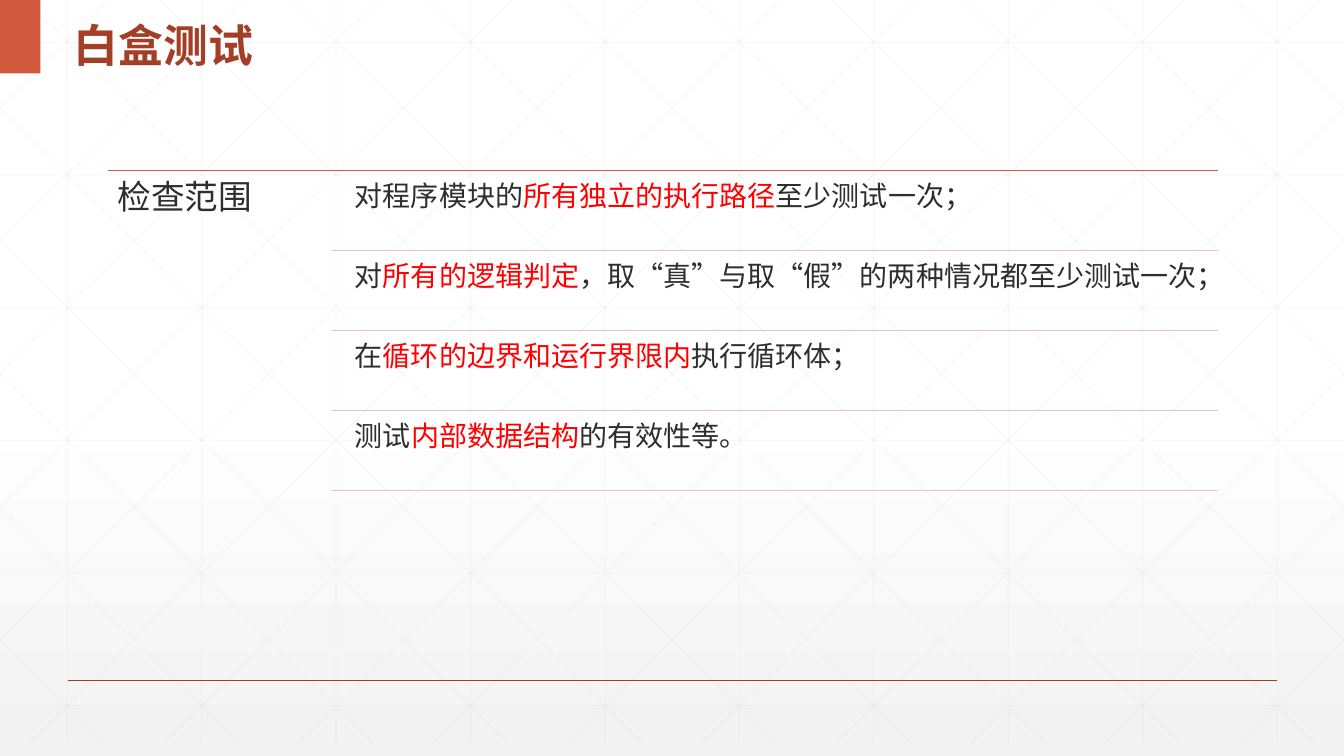
from copy import deepcopy
from lxml.etree import SubElement
from pptx import Presentation
from pptx.dml.color import RGBColor
from pptx.enum.shapes import MSO_CONNECTOR, MSO_SHAPE
from pptx.enum.text import MSO_ANCHOR, MSO_AUTO_SIZE, PP_ALIGN
from pptx.oxml.ns import qn
from pptx.util import Inches, Pt

WIDE, HIGH = 13.33, 7.5
RUST, BRICK, INK, RED = "A43F27", "D15A3E", "2D2E2D", "FF0000"

deck = Presentation()
deck.slide_width, deck.slide_height = Inches(WIDE), Inches(HIGH)
slide = deck.slides.add_slide(deck.slide_layouts[5])
shapes = slide.shapes
hue = RGBColor.from_string


def rule(x1, y1, x2, y2, color, size=1, alpha=None):
    """Draw a straight line without shadow; alpha is a percentage."""
    line = shapes.add_connector(MSO_CONNECTOR.STRAIGHT, *map(Inches, (x1, y1, x2, y2)))
    line.line.color.rgb = hue(color)
    line.line.width = Pt(size)
    props = line.element.spPr
    if alpha:
        tint = props.find(".//" + qn("a:srgbClr"))
        SubElement(tint, qn("a:alpha")).set("val", str(alpha * 1000))
    SubElement(props, qn("a:effectLst"))


def write(x, y, w, h, inset, size, parts):
    """Add a text box whose parts are (text, color) pairs."""
    frame = shapes.add_textbox(*map(Inches, (x, y, w, h))).text_frame
    frame.word_wrap = True
    frame.margin_left = frame.margin_right = Inches(inset)
    frame.margin_top = frame.margin_bottom = Inches(inset)
    para = frame.paragraphs[0]
    para.line_spacing = 0.9
    para.font.size, para.font.name = Pt(size), "Arial"
    for text, color in parts:
        run = para.add_run()
        run.text = text
        run.font.color.rgb = hue(color)


# Background fade
fill = slide.background.fill
fill.gradient()
fill.gradient_angle = 270
stops = slide.element.find(".//" + qn("a:gsLst"))
stops.insert(1, deepcopy(stops[0]))
for stop, (place, color) in zip(fill.gradient_stops,
                                ((0, "FFFFFF"), (0.53, "FFFFFF"), (1, "F2F2F2"))):
    stop.position = place
    stop.color.rgb = hue(color)

# Lattice: columns, rows, then diagonals in mirrored pairs
FAINT = ("D9D9D9", 0.5, 25)
STEP, FLOOR, RUN = 4 / 3, 7.37, 7.45
for col in range(10):
    x = STEP * (col + 0.5)
    rule(x, 0, x, FLOOR, *FAINT)
for row in range(6):
    y = 0.42 + 1.316 * row
    rule(0, y, WIDE, y, *FAINT)
for step in range(-5, 10):
    start = 0.25 + STEP * step
    left, right = max(start, 0), min(start + RUN, WIDE)
    top, low = [(x - start) * FLOOR / RUN for x in (left, right)]
    rule(left, top, right, low, *FAINT)
    rule(WIDE - left, top, WIDE - right, low, *FAINT)

# Footer rule and title
rule(0.67, 6.75, 12.67, 6.75, RUST)
block = shapes.add_shape(MSO_SHAPE.RECTANGLE, 0, 0, Inches(0.4), Inches(0.73))
block.shadow.inherit = False
block.fill.solid()
block.fill.fore_color.rgb = hue(BRICK)
block.line.fill.background()

title = shapes.title
title.left, title.top, title.width, title.height = map(Inches, (0.63, 0, 5.69, 0.73))
shapes.element.append(title.element)
frame = title.text_frame
frame.text = "白盒测试"
frame.auto_size = MSO_AUTO_SIZE.NONE
frame.vertical_anchor = MSO_ANCHOR.MIDDLE
head = frame.paragraphs[0]
head.alignment = PP_ALIGN.LEFT
head.line_spacing = 1.3
head.font.size, head.font.name, head.font.bold = Pt(32), "Arial", True
head.font.color.rgb = hue(RUST)

# Scope of checks
EDGE, TOP, PITCH = 12.08, 1.69, 0.794
rule(1.07, TOP, EDGE, TOP, BRICK)
write(1.07, TOP, 2.2, 3.21, 0.1, 24, [("检查范围", INK)])
checks = [
    ("对程序模块的", "所有独立的执行路径", "至少测试一次；"),
    ("对", "所有的逻辑判定", "，取“真”与取“假”的两种情况都至少测试一次；"),
    ("在", "循环的边界和运行界限内", "执行循环体；"),
    ("测试", "内部数据结构", "的有效性等。"),
]
for row, check in enumerate(checks):
    y = TOP + PITCH * row
    write(3.44, y + 0.04, 8.64, 0.76, 0.08, 20, zip(check, (INK, RED, INK)))
    rule(3.28, y + PITCH, EDGE, y + PITCH, "E9C4C0")

deck.save("out.pptx")
